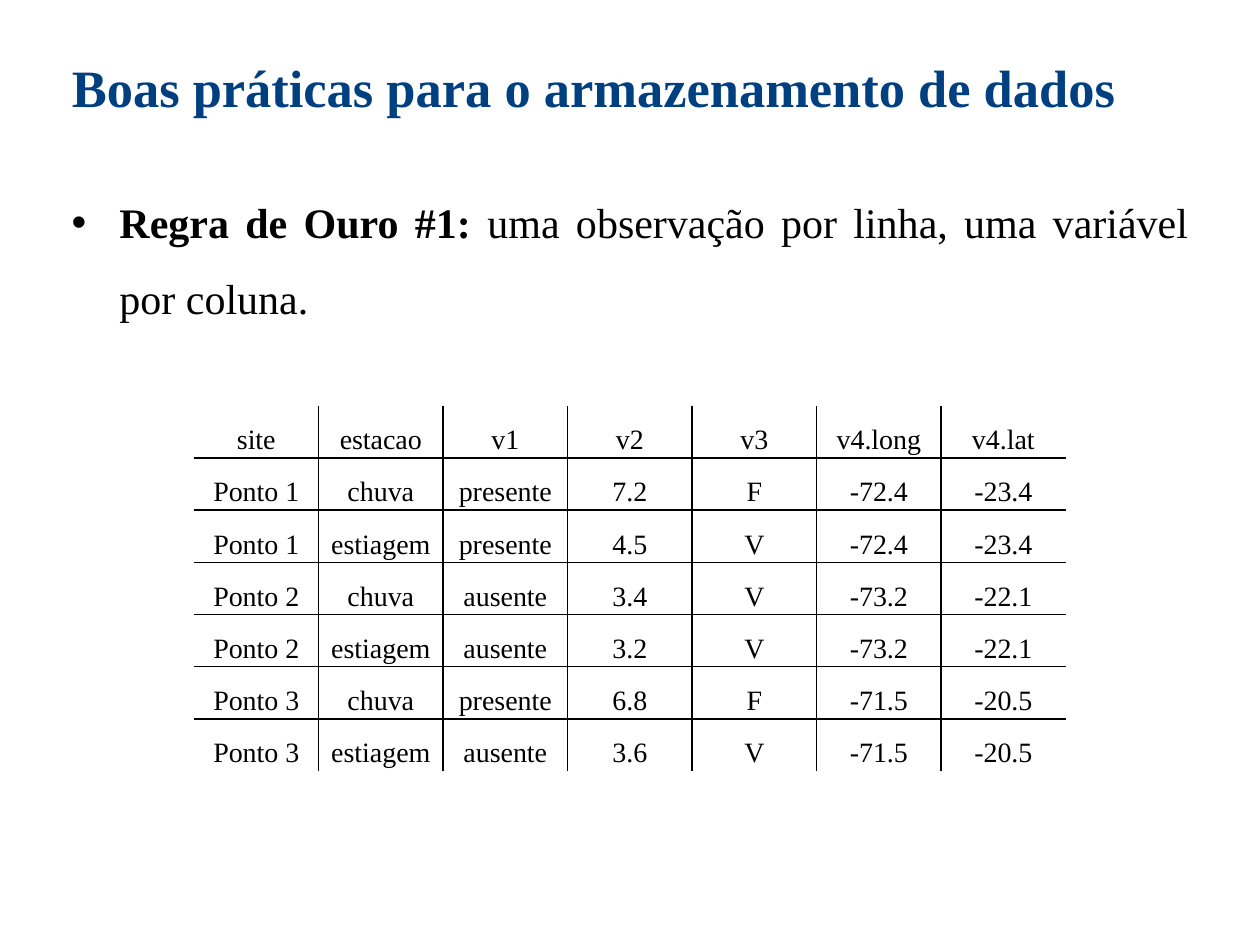
from dataclasses import dataclass

from lxml.etree import SubElement
from pptx import Presentation
from pptx.dml.color import RGBColor
from pptx.enum.text import MSO_ANCHOR, MSO_AUTO_SIZE, PP_ALIGN
from pptx.oxml.ns import qn
from pptx.util import Inches, Pt

FONT = "Times New Roman"
BLACK = RGBColor(0x00, 0x00, 0x00)
NAVY = RGBColor(0x00, 0x40, 0x80)

LEFT, WIDTH = 0.47, 9.06
TABLE_LEFT, TABLE_TOP, TABLE_WIDTH, TABLE_HEIGHT = 1.54, 3.22, 6.92, 2.9

HEADER = ("site", "estacao", "v1", "v2", "v3", "v4.long", "v4.lat")
OBSERVATIONS = (
    ("Ponto 1", "chuva", "presente", "7.2", "F", "-72.4", "-23.4"),
    ("Ponto 1", "estiagem", "presente", "4.5", "V", "-72.4", "-23.4"),
    ("Ponto 2", "chuva", "ausente", "3.4", "V", "-73.2", "-22.1"),
    ("Ponto 2", "estiagem", "ausente", "3.2", "V", "-73.2", "-22.1"),
    ("Ponto 3", "chuva", "presente", "6.8", "F", "-71.5", "-20.5"),
    ("Ponto 3", "estiagem", "ausente", "3.6", "V", "-71.5", "-20.5"),
)


@dataclass(frozen=True)
class Span:
    """A stretch of text in one format."""
    text: str
    size: int
    color: RGBColor = BLACK
    bold: bool = False


def set_values(target: object, values: dict) -> None:
    """Set each named attribute of the target."""
    for name, value in values.items():
        setattr(target, name, value)


def write_paragraph(para, spans: list[Span], alignment: PP_ALIGN) -> None:
    """Fill a paragraph with formatted spans."""
    set_values(para, {"alignment": alignment, "line_spacing": 1.5})
    for span in spans:
        run = para.add_run()
        run.text = span.text
        set_values(run.font, {"name": FONT, "size": Pt(span.size), "bold": span.bold})
        run.font.color.rgb = span.color


def place_text(box, top: float, height: float, spans: list[Span]) -> None:
    """Place a full-width text shape and write its justified paragraph."""
    set_values(box, {"left": Inches(LEFT), "top": Inches(top),
                     "width": Inches(WIDTH), "height": Inches(height)})
    set_values(box.text_frame, {"word_wrap": True, "vertical_anchor": MSO_ANCHOR.TOP,
                                "auto_size": MSO_AUTO_SIZE.SHAPE_TO_FIT_TEXT})
    write_paragraph(box.text_frame.paragraphs[0], spans, PP_ALIGN.JUSTIFY)


def add_bullet(para) -> None:
    """Give a paragraph a hanging round bullet."""
    properties = para._p.get_or_add_pPr()
    properties.set("marL", str(Inches(0.38)))
    properties.set("indent", str(-Inches(0.38)))
    SubElement(properties, qn("a:buFont"), typeface="Arial")
    SubElement(properties, qn("a:buChar"), char="•")


def draw_borders(cell, sides: dict[str, bool]) -> None:
    """Draw a black line on each inner side and none on the outer sides."""
    properties = cell._tc.get_or_add_tcPr()
    for side, inner in sides.items():
        line = SubElement(properties, qn(f"a:ln{side}"), w=str(Pt(1)))
        if inner:
            fill = SubElement(line, qn("a:solidFill"))
            SubElement(fill, qn("a:srgbClr"), val=str(BLACK))
        else:
            SubElement(line, qn("a:noFill"))


def add_data_table(page, rows: list[tuple[str, ...]]) -> None:
    """Add the centred table with inner grid lines only."""
    row_count, column_count = len(rows), len(rows[0])
    table = page.shapes.add_table(
        row_count, column_count, Inches(TABLE_LEFT), Inches(TABLE_TOP),
        Inches(TABLE_WIDTH), Inches(TABLE_HEIGHT)).table
    set_values(table, {"first_row": False, "horz_banding": False})
    for i, row in enumerate(rows):
        for j, text in enumerate(row):
            cell = table.cell(i, j)
            set_values(cell, {"vertical_anchor": MSO_ANCHOR.MIDDLE,
                              "margin_left": Inches(0.01), "margin_right": Inches(0.01),
                              "margin_top": Inches(0.01), "margin_bottom": 0})
            write_paragraph(cell.text_frame.paragraphs[0], [Span(text, 16)],
                            PP_ALIGN.CENTER)
            draw_borders(cell, {"L": j > 0, "R": j < column_count - 1,
                                "T": i > 0, "B": i < row_count - 1})
            cell.fill.background()


def build() -> None:
    """Build and save the slide."""
    deck = Presentation()
    set_values(deck, {"slide_width": Inches(10), "slide_height": Inches(7.5)})
    page = deck.slides.add_slide(deck.slide_layouts[5])
    place_text(page.shapes.title, 0.14, 0.82, [
        Span("Boas práticas para o armazenamento de dados", 30, NAVY, True)])
    rule = page.shapes.add_textbox(0, 0, 0, 0)
    place_text(rule, 1.31, 1.28, [
        Span("Regra de Ouro #1: ", 24, bold=True),
        Span("uma observação por linha, uma variável por coluna.", 24)])
    add_bullet(rule.text_frame.paragraphs[0])
    add_data_table(page, [HEADER, *OBSERVATIONS])
    deck.save("out.pptx")


build()
